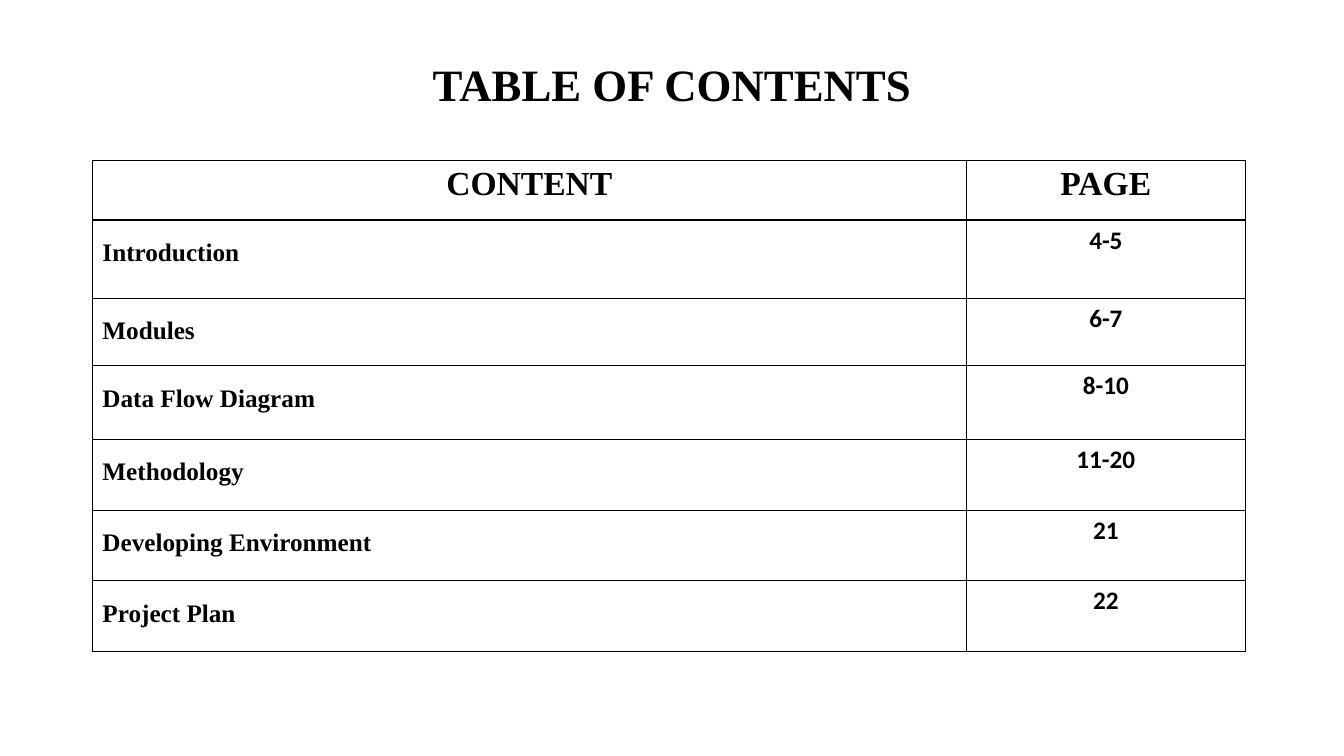
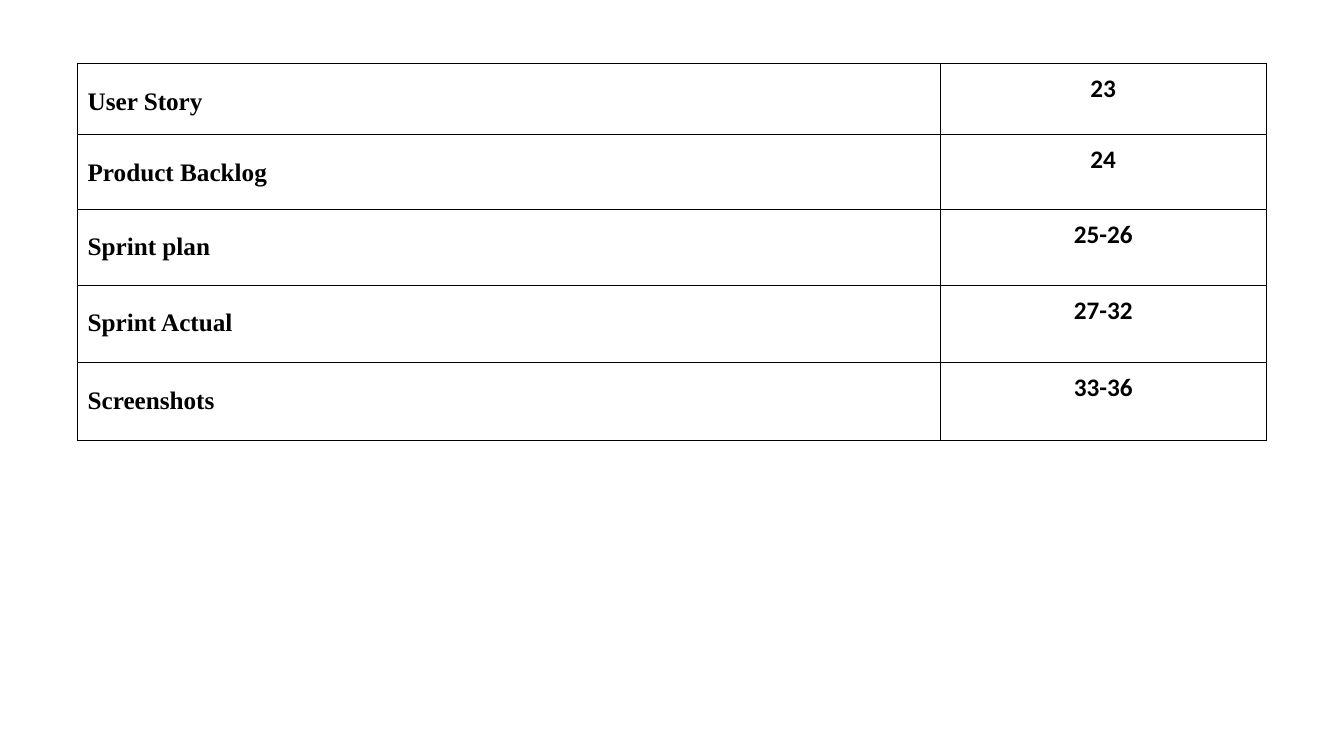
from lxml.etree import SubElement
from pptx import Presentation
from pptx.dml.color import RGBColor
from pptx.enum.text import MSO_ANCHOR, PP_ALIGN
from pptx.oxml.ns import qn
from pptx.util import Pt

COLORS = {"ink": "000000", "paper": "FFFFFF"}
SERIF, SANS = "Times New Roman", "Calibri"
TITLE_SIZE, HEADER_SIZE, BODY_SIZE = 32, 24, 18
SIDE_INSET = 7.2

HEADER = ("CONTENT", "PAGE")
FIRST_ENTRIES = [
    ("Introduction", "4-5"),
    ("Modules", "6-7"),
    ("Data Flow Diagram", "8-10"),
    ("Methodology", "11-20"),
    ("Developing Environment", "21"),
    ("Project Plan", "22"),
]
LAST_ENTRIES = [
    ("User Story", "23"),
    ("Product Backlog", "24"),
    ("Sprint plan", "25-26"),
    ("Sprint Actual", "27-32"),
    ("Screenshots", "33-36"),
]


def write(frame, text, size, font, align=PP_ALIGN.CENTER, spacing=1.0):
    """Fill a text frame with one bold paragraph."""
    frame.text = text
    para = frame.paragraphs[0]
    para.alignment = align
    para.line_spacing = spacing
    for span in para.runs:
        span.font.size = Pt(size)
        span.font.name = font
        span.font.bold = True
        span.font.color.rgb = RGBColor.from_string(COLORS["ink"])


def add_title(page, text):
    box = page.shapes.add_textbox(Pt(66), Pt(29), Pt(828), Pt(66))
    frame = box.text_frame
    frame.word_wrap = True
    frame.vertical_anchor = MSO_ANCHOR.MIDDLE
    write(frame, text, TITLE_SIZE, SERIF, spacing=0.9)


def style_cell(cell, border, inset):
    """Set the margins, the four borders and the fill of a cell."""
    cell.margin_left = cell.margin_right = Pt(SIDE_INSET)
    cell.margin_top = cell.margin_bottom = Pt(inset)
    properties = cell._tc.get_or_add_tcPr()
    for side in ("lnL", "lnR", "lnT", "lnB"):
        line = SubElement(properties, qn(f"a:{side}"), w=str(Pt(border)))
        fill = SubElement(line, qn("a:solidFill"))
        SubElement(fill, qn("a:srgbClr"), val=COLORS["ink"])
    cell.fill.solid()
    cell.fill.fore_color.rgb = RGBColor.from_string(COLORS["paper"])


def add_contents_table(page, left, top, widths, heights, entries,
                       border, inset, header=None):
    rows = ([header] if header else []) + entries
    frame = page.shapes.add_table(len(rows), len(widths), Pt(left), Pt(top),
                                  Pt(sum(widths)), Pt(sum(heights)))
    table = frame.table
    table.first_row = table.horz_banding = False
    for column, width in zip(table.columns, widths):
        column.width = Pt(width)
    for row, height, texts in zip(table.rows, heights, rows):
        row.height = Pt(height)
        for cell in row.cells:
            style_cell(cell, border, inset)
        topic, pages = (cell.text_frame for cell in row.cells)
        if texts is header:
            write(topic, texts[0], HEADER_SIZE, SERIF)
            write(pages, texts[1], HEADER_SIZE, SERIF)
        else:
            write(topic, texts[0], BODY_SIZE, SERIF, PP_ALIGN.LEFT, 1.5)
            write(pages, texts[1], BODY_SIZE, SANS)


def add_page(deck):
    page = deck.slides.add_slide(deck.slide_layouts[6])
    page.background.fill.solid()
    page.background.fill.fore_color.rgb = RGBColor.from_string(COLORS["paper"])
    return page


def main():
    deck = Presentation()
    deck.slide_width, deck.slide_height = Pt(960), Pt(540)

    # Contents, first part
    page = add_page(deck)
    add_title(page, "TABLE OF CONTENTS")
    add_contents_table(page, 66, 114.5, (624.2, 199.5),
                       (42.7, 56, 48, 52.8, 50.5, 50.5, 50.5),
                       FIRST_ENTRIES, border=1, inset=3.6, header=HEADER)

    # Contents, second part
    page = add_page(deck)
    add_contents_table(page, 55.4, 45.4, (616.3, 232.7),
                       (50.8, 53.2, 54.2, 55.5, 55.3),
                       LAST_ENTRIES, border=0.75, inset=7.2)

    deck.save("out.pptx")


if __name__ == "__main__":
    main()
